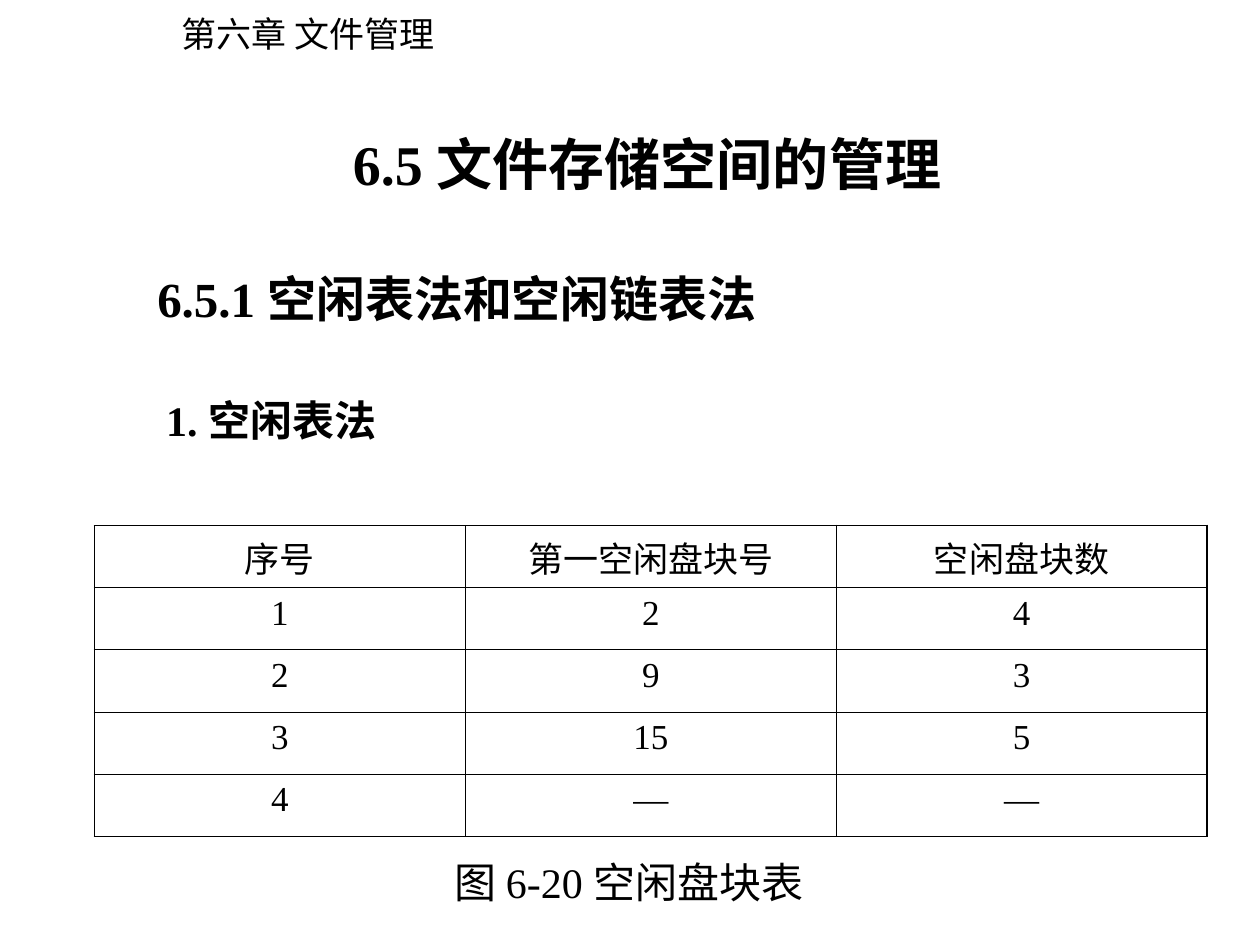
from dataclasses import dataclass

from lxml.etree import SubElement
from pptx import Presentation
from pptx.dml.color import RGBColor
from pptx.enum.text import MSO_ANCHOR as Anchor, MSO_AUTO_SIZE as Fit, PP_ALIGN as Align
from pptx.oxml.ns import qn
from pptx.util import Inches, Pt

BLACK = RGBColor(0, 0, 0)
SERIF = "Times New Roman"
SANS = "Noto Sans CJK SC"
THIN, THICK = 0.45, 1.08


@dataclass
class Label:
    text: str
    left: float
    top: float
    width: float
    height: float
    size: int
    bold: bool = False
    font: str = SERIF


TITLE = Label("6.5 文件存储空间的管理", 2.7, 0.98, 5.08, 0.64, 32, bold=True)
LABELS = [
    Label("第六章 文件管理", 1.34, 0.05, 2.27, 0.44, 20, font=SANS),
    Label("6.5.1 空闲表法和空闲链表法", 1.15, 2.08, 5.14, 0.57, 28, bold=True),
    Label("1. 空闲表法", 1.22, 3.08, 2.02, 0.5, 24, bold=True),
    Label("图 6-20 空闲盘块表", 3.51, 6.75, 3.2, 0.5, 24),
]
ROWS = [
    ("序号", "第一空闲盘块号", "空闲盘块数"),
    ("1", "2", "4"),
    ("2", "9", "3"),
    ("3", "15", "5"),
    ("4", "—", "—"),
]


def write(frame, text: str, *, size: int, bold: bool = False, font: str = SERIF,
          align=Align.LEFT, before: float = 0) -> None:
    para = frame.paragraphs[0]
    para.alignment = align
    para.space_before = Pt(before)
    run = para.add_run()
    run.text = text
    run.font.size = Pt(size)
    run.font.bold = bold
    run.font.name = font
    run.font.color.rgb = BLACK
    SubElement(run.font._element, qn("a:ea"), typeface=SANS)


def place(shape, label: Label) -> None:
    shape.left, shape.top = Inches(label.left), Inches(label.top)
    shape.width, shape.height = Inches(label.width), Inches(label.height)
    frame = shape.text_frame
    frame.word_wrap = False
    frame.auto_size = Fit.SHAPE_TO_FIT_TEXT
    frame.vertical_anchor = Anchor.TOP
    write(frame, label.text, size=label.size, bold=label.bold, font=label.font)


def edge(cell, widths: dict[str, float]) -> None:
    props = cell._tc.get_or_add_tcPr()
    for spot, (side, width) in enumerate(widths.items()):
        line = SubElement(props, qn(f"a:ln{side}"), w=str(Pt(width)))
        fill = SubElement(line, qn("a:solidFill"))
        SubElement(fill, qn("a:srgbClr"), val=str(BLACK))
        props.insert(spot, line)


def draw_table(slide, rows: list[tuple[str, ...]]) -> None:
    tall, wide = len(rows), len(rows[0])
    table = slide.shapes.add_table(
        tall, wide, Inches(0.75), Inches(4.17), Inches(8.83), Inches(2.47)).table
    table.first_row = table.horz_banding = False
    for r, row in enumerate(rows):
        for c, text in enumerate(row):
            cell = table.cell(r, c)
            cell.fill.background()
            write(cell.text_frame, text, size=20, align=Align.CENTER, before=5)
            edge(cell, {
                "L": THICK if c == 0 else THIN,
                "R": THICK if c == wide - 1 else THIN,
                "T": THICK if r == 0 and c > 0 else THIN,
                "B": THICK if r == tall - 1 else THIN,
            })


def main() -> None:
    deck = Presentation()
    deck.slide_width, deck.slide_height = Inches(10), Inches(7.5)
    slide = deck.slides.add_slide(deck.slide_layouts[5])
    place(slide.shapes.title, TITLE)
    for label in LABELS:
        box = slide.shapes.add_textbox(0, 0, 0, 0)
        place(box, label)
    draw_table(slide, ROWS)
    deck.save("out.pptx")


if __name__ == "__main__":
    main()
